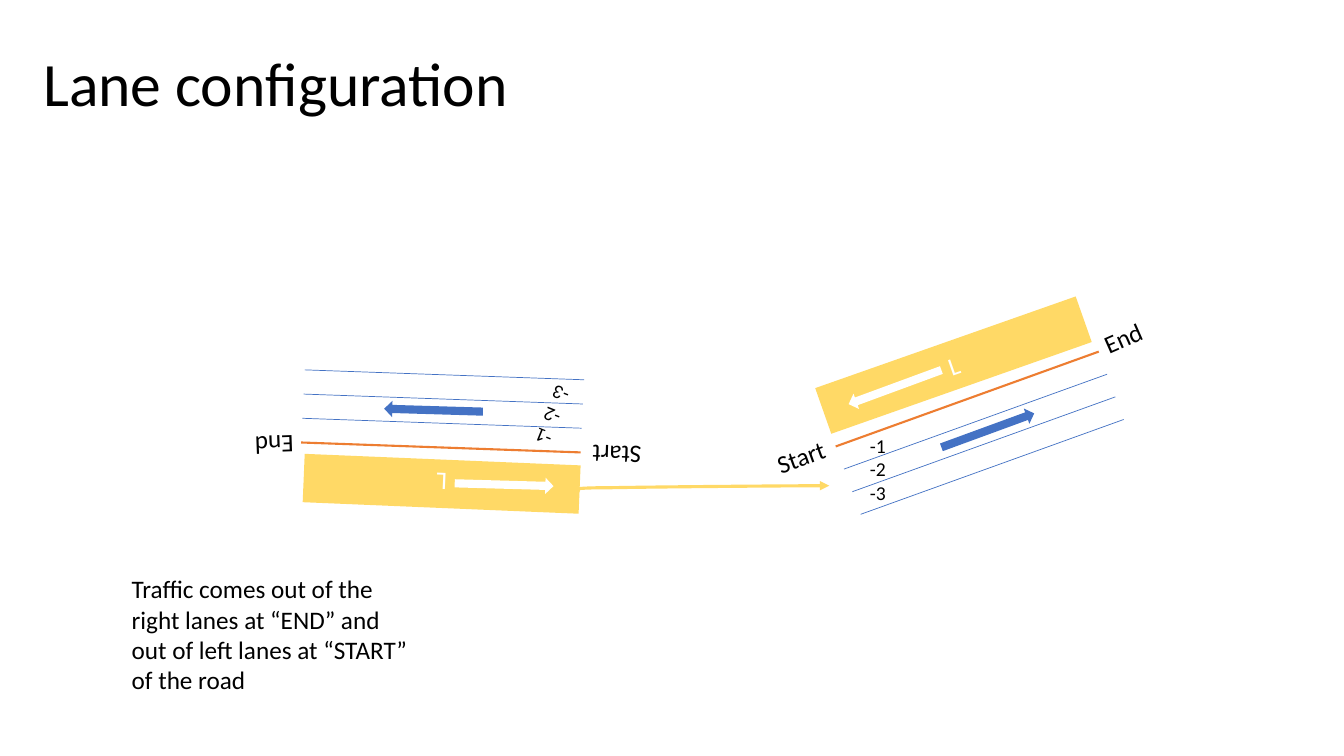
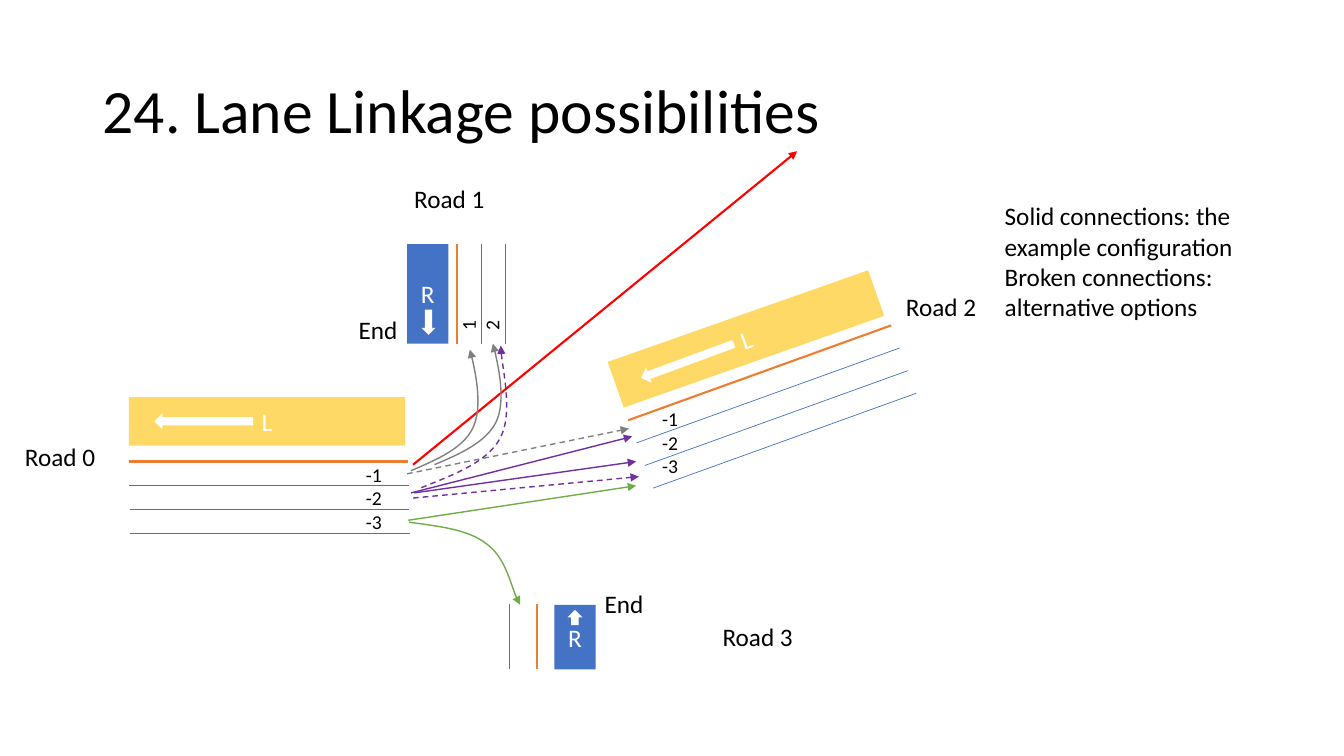
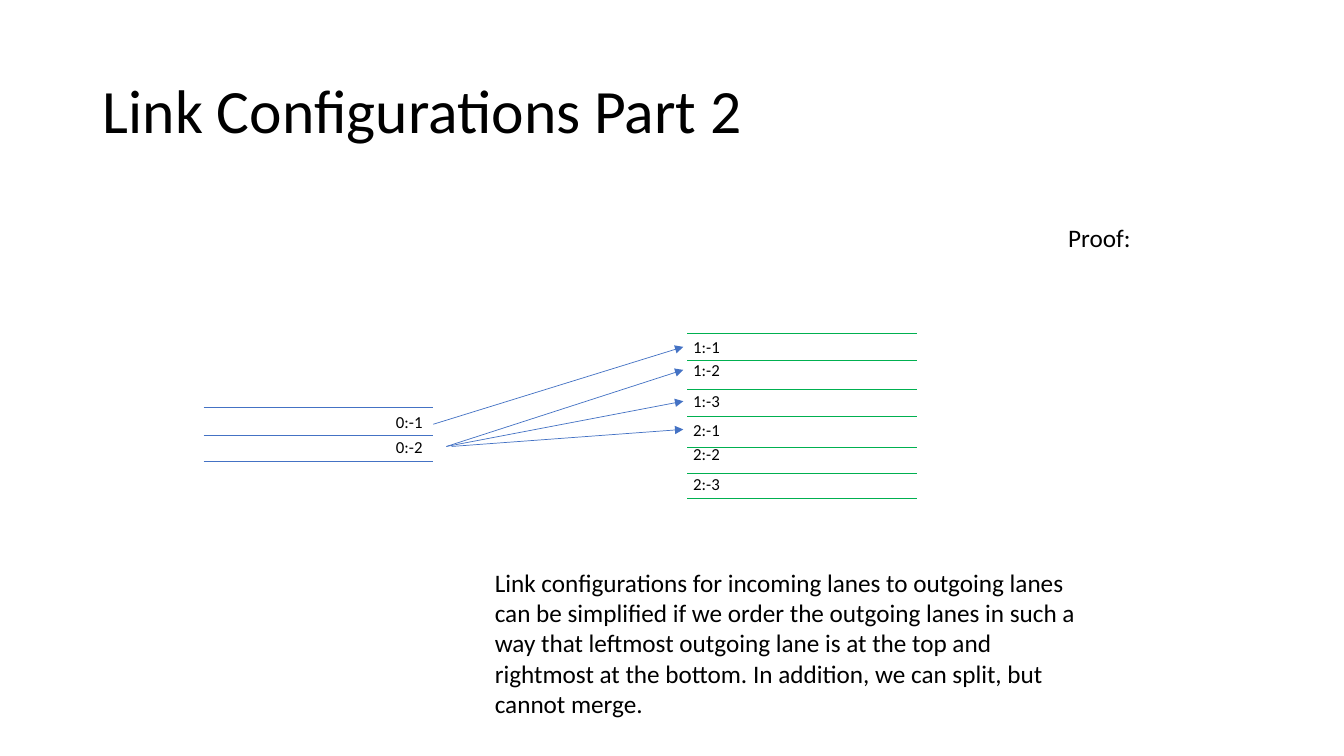
from lxml import etree
from pptx import Presentation
from pptx import util as u
from pptx.dml.color import RGBColor
from pptx.enum import dml, shapes, text
from pptx.oxml import ns

COLOURS = {
    "black": "000000", "white": "FFFFFF", "blue": "4472C4", "orange": "ED7D31",
    "yellow": "FFD966", "grey": "808080", "purple": "7030A0", "green": "70AD47",
    "emerald": "00B050", "red": "FF0000",
}
FONT = "Calibri"
BAR = (6.96, 1.22)
ARROW = (2.49, 0.41)
LABEL = (2.16, 1.02)
ROAD_NAME = (2.67, 1.02)
LANE_NUMBERS = (1.45, 2.06)


def write(page, lines, left, top, width, height, size=18, rotation=0):
    box = page.shapes.add_textbox(u.Cm(left), u.Cm(top), u.Cm(width), u.Cm(height))
    box.rotation = rotation
    frame = box.text_frame
    frame.word_wrap = True
    frame.text = "\n".join(lines)
    for para in frame.paragraphs:
        para.font.name = FONT
        para.font.size = u.Pt(size)
        para.font.color.rgb = RGBColor.from_string(COLOURS["black"])
    return frame


def stroke(shape, colour, width, arrow=False, dashed=False):
    shape.line.color.rgb = RGBColor.from_string(COLOURS[colour])
    shape.line.width = u.Pt(width)
    if dashed:
        shape.line.dash_style = dml.MSO_LINE.DASH
    properties = shape._element.spPr
    if arrow:
        outline = properties.find(ns.qn("a:ln"))
        etree.SubElement(outline, ns.qn("a:tailEnd"), type="triangle")
    if properties.find(ns.qn("a:effectLst")) is None:
        etree.SubElement(properties, ns.qn("a:effectLst"))


deck = Presentation()
deck.slide_width = u.Cm(33.87)
deck.slide_height = u.Cm(19.05)

pages = []
for title, left, top in (
    ("Lane configuration", 0.84, 0.33),
    ("24. Lane Linkage possibilities", 2.34, 1.02),
    ("Link Configurations Part 2", 2.34, 1.02),
):
    page = deck.slides.add_slide(deck.slide_layouts[6])
    frame = write(page, [title], left, top, 29.21, 3.68, 44)
    frame.vertical_anchor = text.MSO_ANCHOR.MIDDLE
    frame.paragraphs[0].line_spacing = 0.9
    pages.append(page)
configuration, linkage, ordering = pages

rectangle = shapes.MSO_SHAPE.RECTANGLE
right_arrow = shapes.MSO_SHAPE.RIGHT_ARROW
down_arrow = shapes.MSO_SHAPE.DOWN_ARROW

blocks = [
    (configuration, rectangle, 7.65, 11.58, BAR, 182.4, "yellow", "L"),
    (configuration, right_arrow, 23.65, 10.64, ARROW, 339.9, "blue", ""),
    (configuration, right_arrow, 9.68, 10.13, ARROW, 181.7, "blue", ""),
    (configuration, right_arrow, 11.46, 12.01, ARROW, 1.6, "white", ""),
    (linkage, rectangle, 3.25, 10.01, BAR, 0, "yellow", "L"),
    (linkage, right_arrow, 3.89, 10.41, ARROW, 180, "white", ""),
    (linkage, rectangle, 10.26, 6.15, (1.04, 2.51), 0, "blue", "R"),
    (linkage, down_arrow, 10.62, 7.8, (0.36, 0.64), 0, "white", ""),
    (linkage, rectangle, 13.97, 15.24, (1.04, 1.63), 0, "blue", "R"),
    (linkage, down_arrow, 14.3, 15.37, (0.38, 0.38), 180, "white", ""),
]
roads = [
    (configuration, 14.63, 11.4, -7.04, -0.25, 0.03, -0.61, 4),
    (linkage, 3.25, 11.63, 7.04, 0, 0.01, 0.6, 4),
    (linkage, 11.51, 8.68, 0, -2.54, 0.61, 0, 3),
    (linkage, 13.54, 16.87, 0, -1.65, -0.71, 0, 2),
]
lane_numbers = [
    (configuration, ["-1", "-2", "-3"], 12.93, 9.35, 201.8),
    (linkage, ["-1", "-2", "-3"], 8.97, 11.53, 0),
    (linkage, ["1", "2"], 11.68, 6.83, 270),
]
for page, across, down in ((configuration, 0, 0), (linkage, -5.23, -0.66)):
    blocks += [
        (page, rectangle, 20.55 + across, 8.59 + down, BAR, 340.6, "yellow", "L"),
        (page, right_arrow, 21.31 + across, 9.55 + down, ARROW, 159.8, "white", ""),
    ]
    roads.append((page, 21.06 + across, 11.25 + down, 6.63, -2.39, 0.21, 0.57, 4))
    lane_numbers.append((page, ["-1", "-2", "-3"], 21.67 + across, 10.8 + down, 0))

lines = []
for page, left, top, run, rise, step_across, step_down, count in roads:
    for lane in range(count):
        x, y = left + lane * step_across, top + lane * step_down
        style = ("blue", 0.5) if lane else ("orange", 1.5)
        lines.append((page, x, y, x + run, y + rise, *style))

for left, colour, edges in (
    (5.13, "blue", (10.26, 10.97, 11.63)),
    (17.32, "emerald", (8.41, 9.07, 9.8, 10.49, 11.28, 11.94, 12.57)),
):
    for edge in edges:
        lines.append((ordering, left, edge, left + 5.79, edge, colour, 0.5))

for x, y, end in ((10.92, 10.69, 8.74), (11.25, 11.25, 9.32),
                  (11.25, 11.25, 10.11), (11.38, 11.25, 10.82)):
    lines.append((ordering, x, y, 17.22, end, "blue", 0.5, True))

lines += [
    (linkage, 10.36, 12.42, 15.93, 11, "purple", 1, True),
    (linkage, 10.44, 12.42, 16.03, 11.63, "purple", 1, True),
    (linkage, 10.29, 13.11, 16.03, 12.24, "green", 1, True),
    (linkage, 10.26, 11.94, 15.85, 10.8, "grey", 1, True, True),
    (linkage, 10.41, 12.55, 16.1, 12.01, "purple", 1, True, True),
    (linkage, 10.41, 11.71, 20.09, 3.81, "red", 1.5, True),
]
for page, x1, y1, x2, y2, *style in lines:
    line = page.shapes.add_connector(
        shapes.MSO_CONNECTOR.STRAIGHT, u.Cm(x1), u.Cm(y1), u.Cm(x2), u.Cm(y2))
    stroke(line, *style)

curves = [
    (configuration, "yellow", 2.25, False,
     [(14.61, 12.37), (14.48, 12.34), (14.35, 12.29), (15.42, 12.29),
      (16.46, 12.27), (19.99, 12.24), (20.9, 12.24)]),
    (linkage, "grey", 1, False,
     [(10.36, 11.86), (11.02, 11.58), (11.66, 11.3), (11.91, 10.8),
      (12.17, 10.29), (11.94, 9.12), (11.84, 8.81)]),
    (linkage, "grey", 1, False,
     [(10.95, 11.71), (11.61, 11.43), (12.24, 11.15), (12.5, 10.64),
      (12.75, 10.13), (12.52, 8.99), (12.42, 8.66)]),
    (linkage, "green", 1, False,
     [(10.31, 13.16), (11.05, 13.26), (11.79, 13.34), (12.24, 13.69),
      (12.73, 14.02), (12.93, 14.99), (13.11, 15.24)]),
    (linkage, "purple", 1, True,
     [(10.62, 12.29), (11.43, 11.96), (12.27, 11.66), (12.6, 11.05),
      (12.93, 10.46), (12.62, 9.09), (12.62, 8.71)]),
]
for page, colour, width, dashed, points in curves:
    start, *controls = [(u.Cm(x), u.Cm(y)) for x, y in points]
    builder = page.shapes.build_freeform(*start)
    builder.add_line_segments(controls, close=False)
    curve = builder.convert_to_shape()
    segments = list(curve._element.iter(ns.qn("a:lnTo")))
    for first in range(0, len(segments), 3):
        bezier = etree.SubElement(segments[first].getparent(), ns.qn("a:cubicBezTo"))
        for segment in segments[first:first + 3]:
            bezier.append(segment[0])
            segment.getparent().remove(segment)
    curve.fill.background()
    stroke(curve, colour, width, True, dashed)

for page, preset, left, top, size, rotation, colour, letter in blocks:
    block = page.shapes.add_shape(preset, u.Cm(left), u.Cm(top), *map(u.Cm, size))
    block.rotation = rotation
    block.shadow.inherit = False
    block.fill.solid()
    block.fill.fore_color.rgb = RGBColor.from_string(COLOURS[colour])
    block.line.fill.background()
    if letter:
        block.text_frame.text = letter
        block.text_frame.vertical_anchor = text.MSO_ANCHOR.MIDDLE
        para = block.text_frame.paragraphs[0]
        para.alignment = text.PP_ALIGN.CENTER
        para.font.name = FONT
        para.font.size = u.Pt(18)
        para.font.color.rgb = RGBColor.from_string(COLOURS["white"])

for page, numbers, left, top, rotation in lane_numbers:
    write(page, numbers, left, top, *LANE_NUMBERS, 14, rotation)

for page, label, left, top, size, rotation in (
    (configuration, "Start", 19.3, 10.92, LABEL, 340.1),
    (configuration, "End", 27.53, 7.87, LABEL, 336.2),
    (configuration, "Start", 14.25, 10.97, LABEL, 181.9),
    (configuration, "End", 5.49, 10.74, LABEL, 178),
    (linkage, "End", 14.99, 14.71, LABEL, 0),
    (linkage, "End", 8.79, 7.8, LABEL, 0),
    (linkage, "Road 0", 0.38, 11, ROAD_NAME, 0),
    (linkage, "Road 1", 10.19, 4.5, ROAD_NAME, 0),
    (linkage, "Road 2", 22.58, 7.21, ROAD_NAME, 0),
    (linkage, "Road 3", 17.96, 15.52, ROAD_NAME, 0),
    (ordering, "Proof:", 26.67, 5.49, (5.08, 1.02), 0),
):
    write(page, [label], left, top, *size, rotation=rotation)

for left, lanes in (
    (9.73, {"0:-1": 10.26, "0:-2": 10.87}),
    (17.22, {"1:-1": 8.36, "1:-2": 8.94, "1:-3": 9.73,
             "2:-1": 10.44, "2:-2": 11.05, "2:-3": 11.81}),
):
    for lane, top in lanes.items():
        write(ordering, [lane], left, top, 1.52, 0.76, 12)

write(configuration, ["Traffic comes out of the right lanes at “END” and out of left "
                      "lanes at “START” of the road"], 3.07, 14.33, 7.57, 3.33)
write(linkage, ["Solid connections: the example configuration",
                "Broken connections: alternative options"], 25.07, 4.93, 6.88, 3.33)
write(ordering, ["Link configurations for incoming lanes to outgoing lanes can be "
                 "simplified if we order the outgoing lanes in such a way that leftmost "
                 "outgoing lane is at the top and rightmost at the bottom. In addition, "
                 "we can split, but cannot merge."], 12.22, 14.17, 15.21, 4.11)

deck.save("out.pptx")
